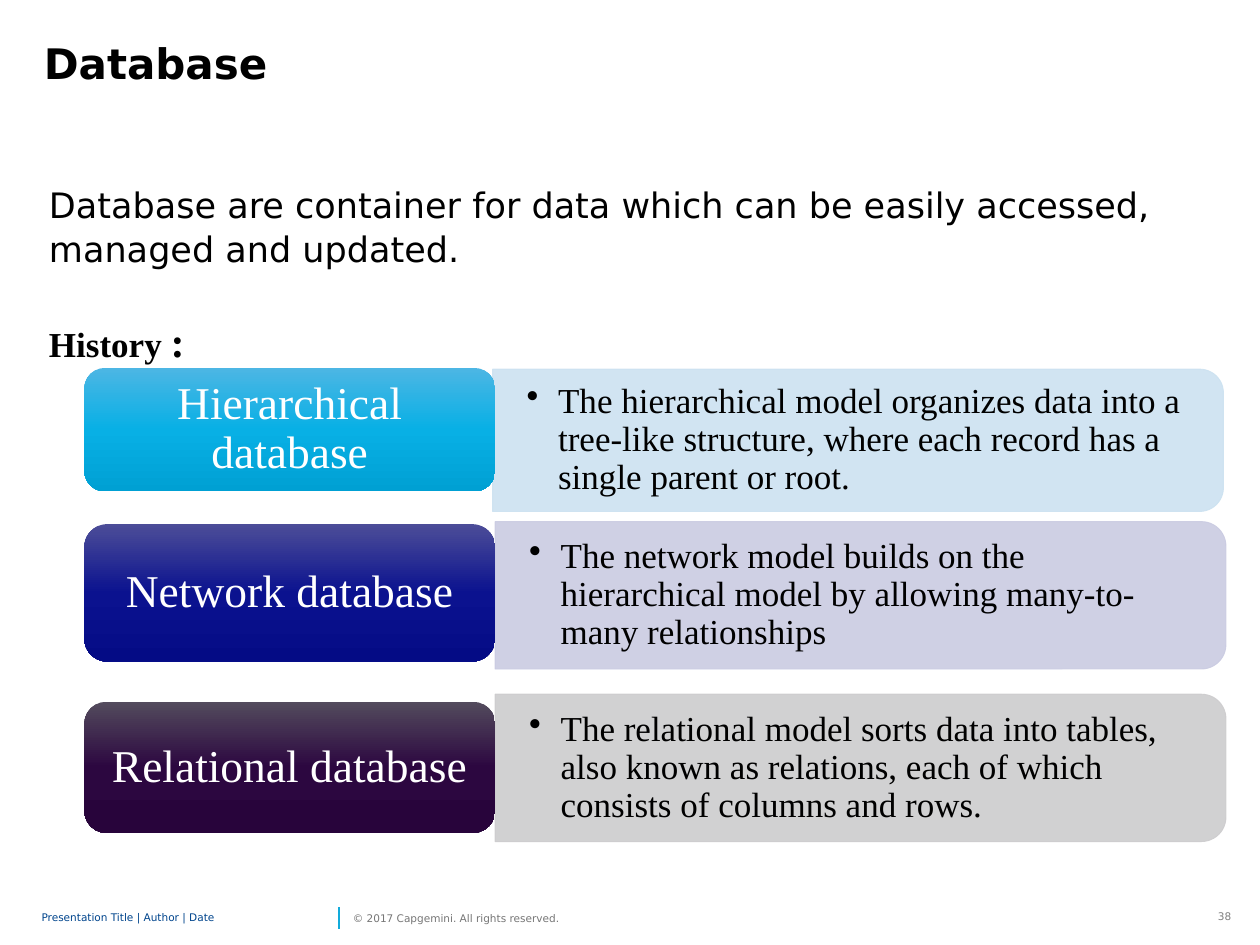
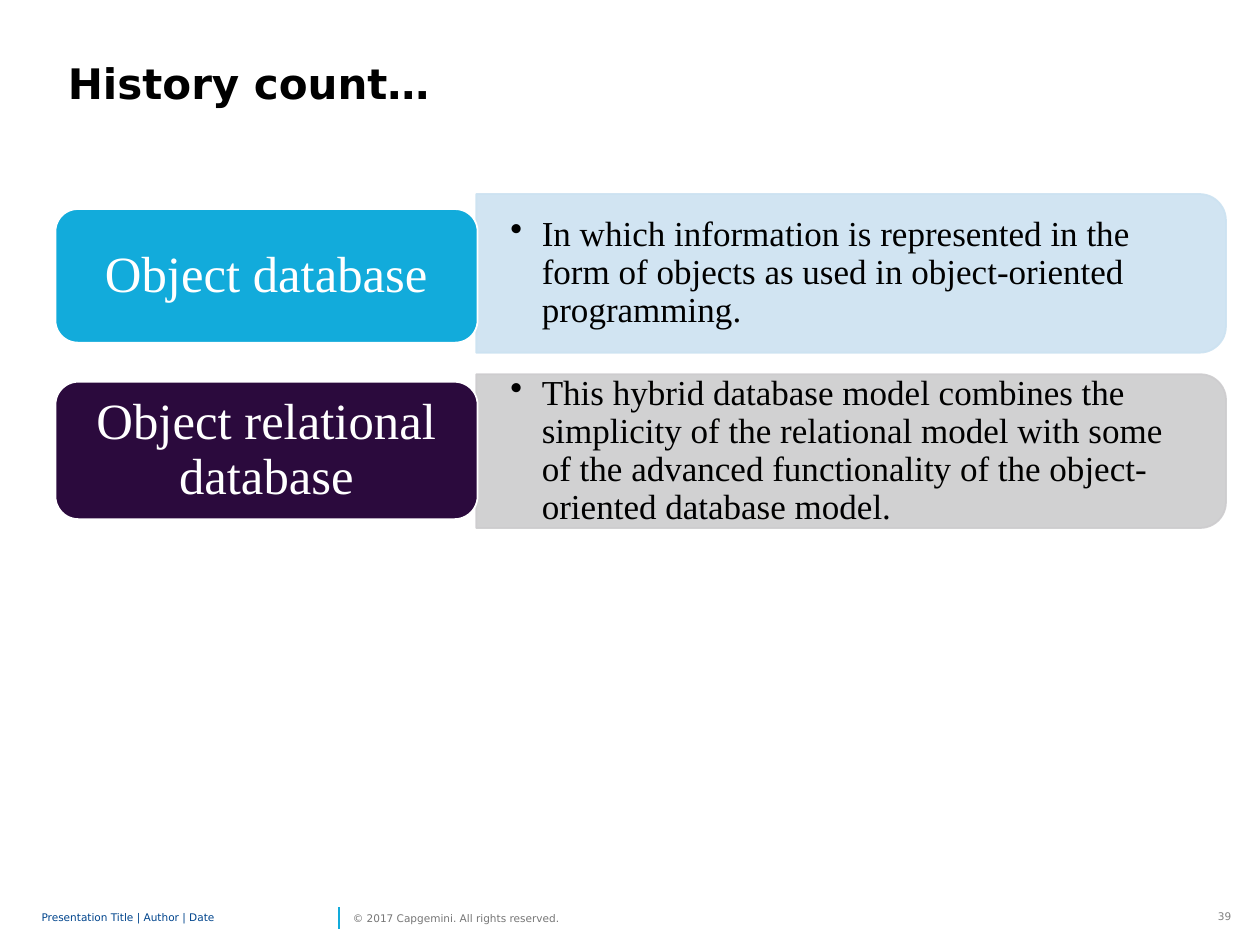
"""Build two slides about the history of database models."""
import copy
from dataclasses import dataclass
from typing import Optional

import pptx
import pptx.dml.color
import pptx.enum.shapes
import pptx.enum.text
import pptx.oxml.ns
import pptx.oxml.xmlchemy
import pptx.util
from lxml import etree

Inches = pptx.util.Inches
Pt = pptx.util.Pt
Align = pptx.enum.text.PP_ALIGN
Anchor = pptx.enum.text.MSO_ANCHOR
Preset = pptx.enum.shapes.MSO_SHAPE
qn = pptx.oxml.ns.qn

SANS = "DejaVu Sans"
SERIF = "Times New Roman"
BLACK = "000000"
WHITE = "FFFFFF"
CYAN = "12ABDB"
PALE_BLUE = "CCE2F1"
PALE_VIOLET = "CACBE2"
PALE_GREY = "CDCCCE"
DEFAULT_INSETS = (0.1, 0.05)


@dataclass(frozen=True)
class Box:
    left: float
    top: float
    width: float
    height: float

    def lengths(self) -> tuple:
        return tuple(Inches(v) for v in (self.left, self.top, self.width, self.height))


@dataclass(frozen=True)
class TextStyle:
    size: float
    color: str = BLACK
    font: str = SANS
    bold: bool = False
    align: Align = Align.LEFT
    spacing: Optional[float] = None


@dataclass(frozen=True)
class ModelRow:
    name: str
    description: str
    card_top: float
    card_height: float
    card_colors: tuple[str, ...]
    panel_top: float
    panel_height: float
    panel_color: str
    panel_left: float


@dataclass(frozen=True)
class RowLayout:
    card_left: float
    card_width: float
    card_insets: tuple[float, float]
    card_border: Optional[float]
    panel_width: float
    panel_border: float
    name_size: float


TITLE = TextStyle(24, bold=True)
DESCRIPTION = TextStyle(20, font=SERIF, spacing=0.9)
INTRO = TextStyle(20, spacing=1.05)

HISTORY_LAYOUT = RowLayout(0.67, 3.26, (0.11, 0.05), None, 5.8, 0.5, 26)
HISTORY_ROWS = [
    ModelRow("Hierarchical database",
             "The hierarchical model organizes data into a tree-like structure, "
             "where each record has a single parent or root.",
             2.92, 0.98, ("4CB6E4", "08B0E5", "00A0D3"), 2.93, 1.13, PALE_BLUE, 3.91),
    ModelRow("Network database",
             "The network model builds on the hierarchical model by allowing "
             "many-to-many relationships",
             4.16, 1.09, ("4C4D98", "0B128F", "040B85"), 4.14, 1.17, PALE_VIOLET, 3.93),
    ModelRow("Relational database",
             "The relational model sorts data into tables, also known as relations, "
             "each of which consists of columns and rows.",
             5.57, 1.04, ("534B5D", "2C0740", "28043B"), 5.51, 1.17, PALE_GREY, 3.93),
]

OBJECT_LAYOUT = RowLayout(0.44, 3.35, (0.12, 0.06), 1, 5.95, 1, 29)
OBJECT_ROWS = [
    ModelRow("Object database",
             "In which information is represented in the form of objects as used in "
             "object-oriented programming.",
             1.66, 1.06, (CYAN,), 1.54, 1.26, PALE_BLUE, 3.78),
    ModelRow("Object relational database",
             "This hybrid database model combines the simplicity of the relational "
             "model with some of the advanced functionality of the object-oriented "
             "database model.",
             3.03, 1.09, ("2B0A3D",), 2.97, 1.22, PALE_GREY, 3.78),
]


def rgb(color: str) -> pptx.dml.color.RGBColor:
    return pptx.dml.color.RGBColor.from_string(color)


def style_paragraph(paragraph, style: TextStyle) -> None:
    paragraph.alignment = style.align
    if style.spacing:
        paragraph.line_spacing = style.spacing
    font = paragraph.font
    font.name = style.font
    font.size = Pt(style.size)
    font.bold = style.bold
    font.color.rgb = rgb(style.color)


def set_frame(shape, insets: tuple[float, float], anchor: Anchor, wrap: bool = True):
    frame = shape.text_frame
    frame.word_wrap = wrap
    frame.vertical_anchor = anchor
    frame.margin_left = frame.margin_right = Inches(insets[0])
    frame.margin_top = frame.margin_bottom = Inches(insets[1])
    return frame


def add_text(slide, box: Box, text: str, style: TextStyle,
             insets: tuple[float, float] = DEFAULT_INSETS,
             anchor: Anchor = Anchor.TOP, wrap: bool = True, bullet: bool = False):
    frame = set_frame(slide.shapes.add_textbox(*box.lengths()), insets, anchor, wrap)
    paragraph = frame.paragraphs[0]
    paragraph.text = text
    if bullet:
        add_bullet(paragraph)
    style_paragraph(paragraph, style)
    return frame


def add_bullet(paragraph) -> None:
    properties = paragraph._p.get_or_add_pPr()
    properties.set("marL", str(Inches(0.25)))
    properties.set("indent", str(-Inches(0.25)))
    etree.SubElement(properties, qn("a:buChar")).set("char", "•")


def fill_gradient(shape, colors: tuple[str, ...]) -> None:
    shape.fill.gradient()
    shape.fill.gradient_angle = 270
    stop_list = shape.element.spPr.find(".//" + qn("a:gsLst"))
    for _ in range(len(colors) - len(stop_list)):
        stop_list.insert(1, copy.deepcopy(stop_list[0]))
    for index, (stop, color) in enumerate(zip(shape.fill.gradient_stops, colors)):
        stop.position = index / (len(colors) - 1)
        stop.color.rgb = rgb(color)


def add_panel(slide, row: ModelRow, layout: RowLayout) -> None:
    width, height = layout.panel_width, row.panel_height
    shift = (width - height) / 2
    upright = Box(row.panel_left + shift, row.panel_top - shift, height, width)
    panel = slide.shapes.add_shape(Preset.ROUND_2_SAME_RECTANGLE, *upright.lengths())
    panel.rotation = 90
    panel.shadow.inherit = False
    panel.fill.solid()
    panel.fill.fore_color.rgb = rgb(row.panel_color)
    panel.line.color.rgb = rgb(row.panel_color)
    panel.line.width = Pt(layout.panel_border)
    for color in panel.element.spPr.iter(qn("a:srgbClr")):
        etree.SubElement(color, qn("a:alpha")).set("val", "90000")
    add_text(slide, Box(row.panel_left, row.panel_top + 0.06, width - 0.06, height - 0.12),
             row.description, DESCRIPTION, (0.27, 0.14), Anchor.MIDDLE, bullet=True)


def add_card(slide, row: ModelRow, layout: RowLayout) -> None:
    box = Box(layout.card_left, row.card_top, layout.card_width, row.card_height)
    card = slide.shapes.add_shape(Preset.ROUNDED_RECTANGLE, *box.lengths())
    card.shadow.inherit = False
    if len(row.card_colors) > 1:
        fill_gradient(card, row.card_colors)
    else:
        card.fill.solid()
        card.fill.fore_color.rgb = rgb(row.card_colors[0])
    if layout.card_border:
        card.line.color.rgb = rgb(WHITE)
        card.line.width = Pt(layout.card_border)
    else:
        card.line.fill.background()
    frame = set_frame(card, layout.card_insets, Anchor.MIDDLE)
    frame.text = row.name
    style_paragraph(frame.paragraphs[0],
                    TextStyle(layout.name_size, WHITE, SERIF, align=Align.CENTER, spacing=0.9))


def add_rows(slide, rows: list[ModelRow], layout: RowLayout) -> None:
    for row in rows:
        add_panel(slide, row, layout)
        add_card(slide, row, layout)


def add_footer(slide, number: int) -> None:
    add_text(slide, Box(9.52, 7.17, 0.35, 0.2), str(number),
             TextStyle(6, "808080", align=Align.RIGHT), wrap=False)
    divider = slide.shapes.add_connector(
        pptx.enum.shapes.MSO_CONNECTOR.STRAIGHT,
        Inches(2.69), Inches(7.37), Inches(2.69), Inches(7.2))
    divider.line.color.rgb = rgb(CYAN)
    divider.line.width = Pt(1)
    etree.SubElement(divider.element.spPr, qn("a:effectLst"))
    add_text(slide, Box(0.33, 7.17, 2.32, 0.24), "Presentation Title | Author | Date",
             TextStyle(6, "00458D", spacing=0.85), (0, 0), Anchor.MIDDLE)
    add_text(slide, Box(2.8, 7.17, 1.82, 0.24), "© 2017 Capgemini. All rights reserved.",
             TextStyle(6, "767676"), (0, 0), Anchor.MIDDLE, wrap=False)


def add_slide(presentation, number: int, title: str, title_box: Box, wrap: bool = True):
    slide = presentation.slides.add_slide(presentation.slide_layouts[6])
    add_footer(slide, number)
    add_text(slide, title_box, title, TITLE, wrap=wrap)
    return slide


def add_intro(slide) -> None:
    frame = add_text(slide, Box(0.29, 1.39, 9.25, 1.88),
                     "Database are container for data which can be easily accessed, "
                     "managed and updated.", INTRO)
    heading = frame.add_paragraph()
    heading.space_before = Pt(26)
    style_paragraph(heading, TextStyle(20, font=SERIF, bold=True))
    for text, size in (("History ", 20), (":", 24)):
        run = heading.add_run()
        run.text = text
        run.font.size = Pt(size)


def main() -> None:
    presentation = pptx.Presentation()
    presentation.slide_width = Inches(10)
    presentation.slide_height = Inches(7.5)

    database = add_slide(presentation, 38, "Database", Box(0.25, 0.25, 9.33, 0.5))
    add_intro(database)
    add_rows(database, HISTORY_ROWS, HISTORY_LAYOUT)

    history = add_slide(presentation, 39, "History count…", Box(0.44, 0.41, 3.1, 0.5), wrap=False)
    add_rows(history, OBJECT_ROWS, OBJECT_LAYOUT)

    presentation.save("out.pptx")


if __name__ == "__main__":
    main()
